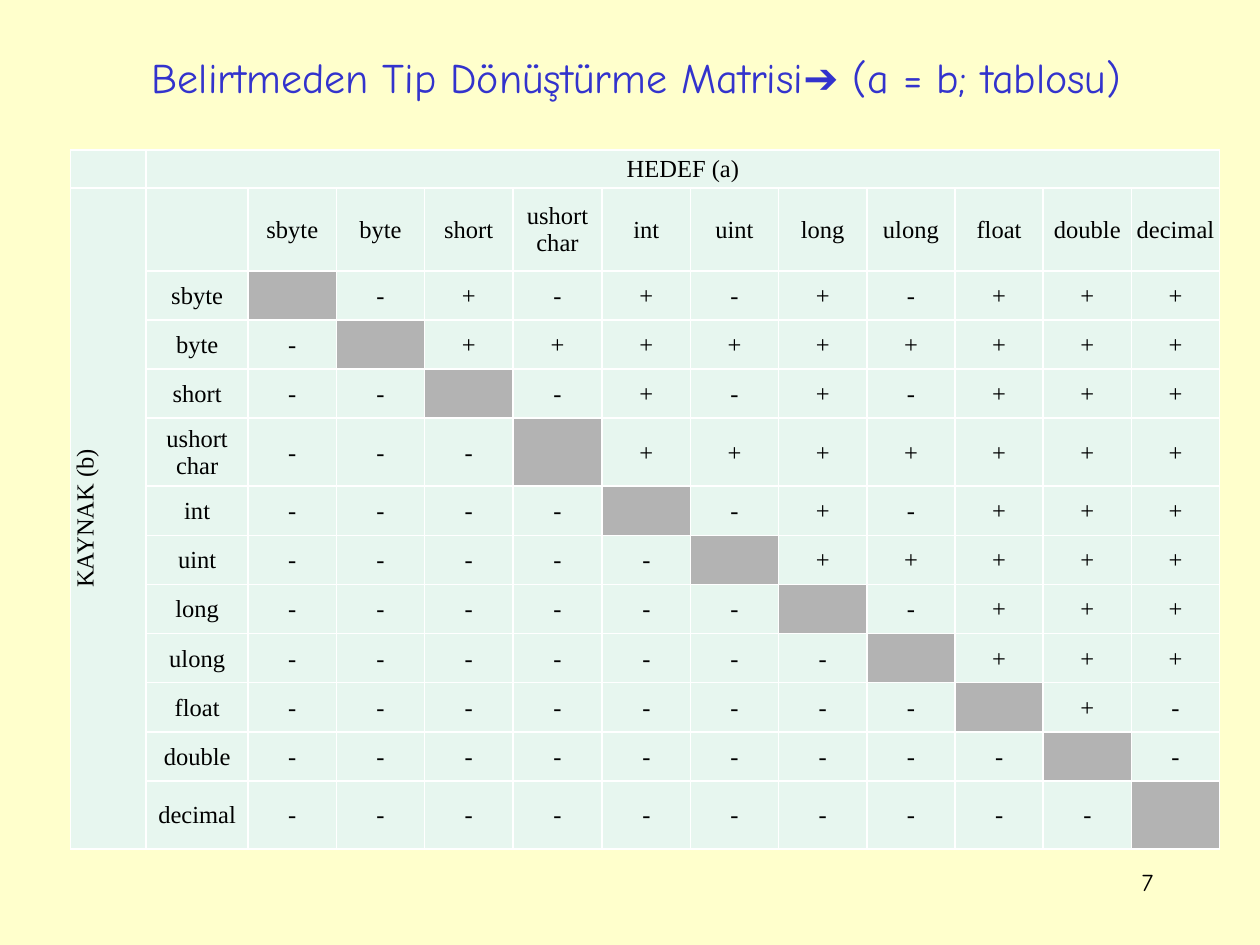
from lxml.etree import SubElement
from pptx import Presentation
from pptx.dml.color import RGBColor
from pptx.enum.text import MSO_ANCHOR as Anchor, PP_ALIGN as Align
from pptx.oxml.ns import qn
from pptx.util import Inches, Pt

CREAM = RGBColor(0xFF, 0xFF, 0xCC)
BLUE = RGBColor(0x33, 0x33, 0xCC)
BLACK = RGBColor(0, 0, 0)
MINT = RGBColor(0xE7, 0xF6, 0xEF)
GRAY = RGBColor(0xB3, 0xB3, 0xB3)
WHITE = RGBColor(0xFF, 0xFF, 0xFF)

TYPES = ["sbyte", "byte", "short", "ushort char", "int", "uint",
         "long", "ulong", "float", "double", "decimal"]
CONVERSIONS = [
    " -+-+-+-+++",
    "- +++++++++",
    "-- -+-+-+++",
    "--- +++++++",
    "---- -+-+++",
    "----- +++++",
    "------ -+++",
    "------- +++",
    "-------- +-",
    "--------- -",
    "---------- ",
]


def write(frame, text, size=14, font="Times New Roman", color=BLACK, align=Align.CENTER):
    paragraph = frame.paragraphs[0]
    paragraph.alignment = align
    if not text:
        SubElement(paragraph._p, qn("a:endParaRPr"), sz=str(size * 100))
        return
    run = paragraph.add_run()
    run.text = text
    run.font.size = Pt(size)
    run.font.name = font
    run.font.color.rgb = color


def add_borders(cell):
    properties = cell._tc.get_or_add_tcPr()
    for side in ("lnL", "lnR", "lnT", "lnB"):
        line = SubElement(properties, qn(f"a:{side}"), w=str(Pt(1)))
        fill = SubElement(line, qn("a:solidFill"))
        SubElement(fill, qn("a:srgbClr"), val=str(WHITE))


prs = Presentation()
prs.slide_width, prs.slide_height = Inches(10), Inches(7.5)
slide = prs.slides.add_slide(prs.slide_layouts[5])
slide.background.fill.solid()
slide.background.fill.fore_color.rgb = CREAM

title = slide.shapes.title
title.left, title.top = Inches(0.49), Inches(0.23)
title.width, title.height = Inches(9.12), Inches(0.76)
title.text_frame.vertical_anchor = Anchor.MIDDLE
write(title.text_frame, "Belirtmeden Tip Dönüştürme Matrisi➔ (a = b; tablosu)",
      size=24, font="Comic Neue", color=BLUE)

page_number = slide.shapes.add_textbox(Inches(7.17), Inches(6.83), Inches(2.08), Inches(0.5))
page_number.text_frame.word_wrap = True
write(page_number.text_frame, "7", font="Comic Neue", align=Align.RIGHT)

rows = [["", "HEDEF (a)"] + [""] * 11, ["KAYNAK (b)", ""] + TYPES]
for source, marks in zip(TYPES, CONVERSIONS):
    rows.append(["", source] + [mark.strip() for mark in marks])

column_widths = [0.6, 0.81] + [0.7] * 3 + [0.71] + [0.7] * 7
row_heights = [0.3, 0.66] + [0.39] * 3 + [0.54] + [0.39] * 6 + [0.54]
matrix = slide.shapes.add_table(13, 13, Inches(0.56), Inches(1.19),
                                Inches(9.14), Inches(5.57)).table
matrix.first_row = matrix.horz_banding = False
for column, width in zip(matrix.columns, column_widths):
    column.width = Inches(width)
for row, height in zip(matrix.rows, row_heights):
    row.height = Inches(height)

for r, texts in enumerate(rows):
    for c, text in enumerate(texts):
        cell = matrix.cell(r, c)
        cell.margin_left = cell.margin_right = cell.margin_top = Inches(0.01)
        cell.margin_bottom = 0
        cell.vertical_anchor = Anchor.MIDDLE
        add_borders(cell)
        cell.fill.solid()
        cell.fill.fore_color.rgb = GRAY if r == c and r > 1 else MINT
        write(cell.text_frame, text)

matrix.cell(0, 1).merge(matrix.cell(0, 12))
matrix.cell(1, 0).merge(matrix.cell(12, 0))
matrix.cell(1, 0)._tc.get_or_add_tcPr().set("vert", "vert270")

prs.save("out.pptx")
